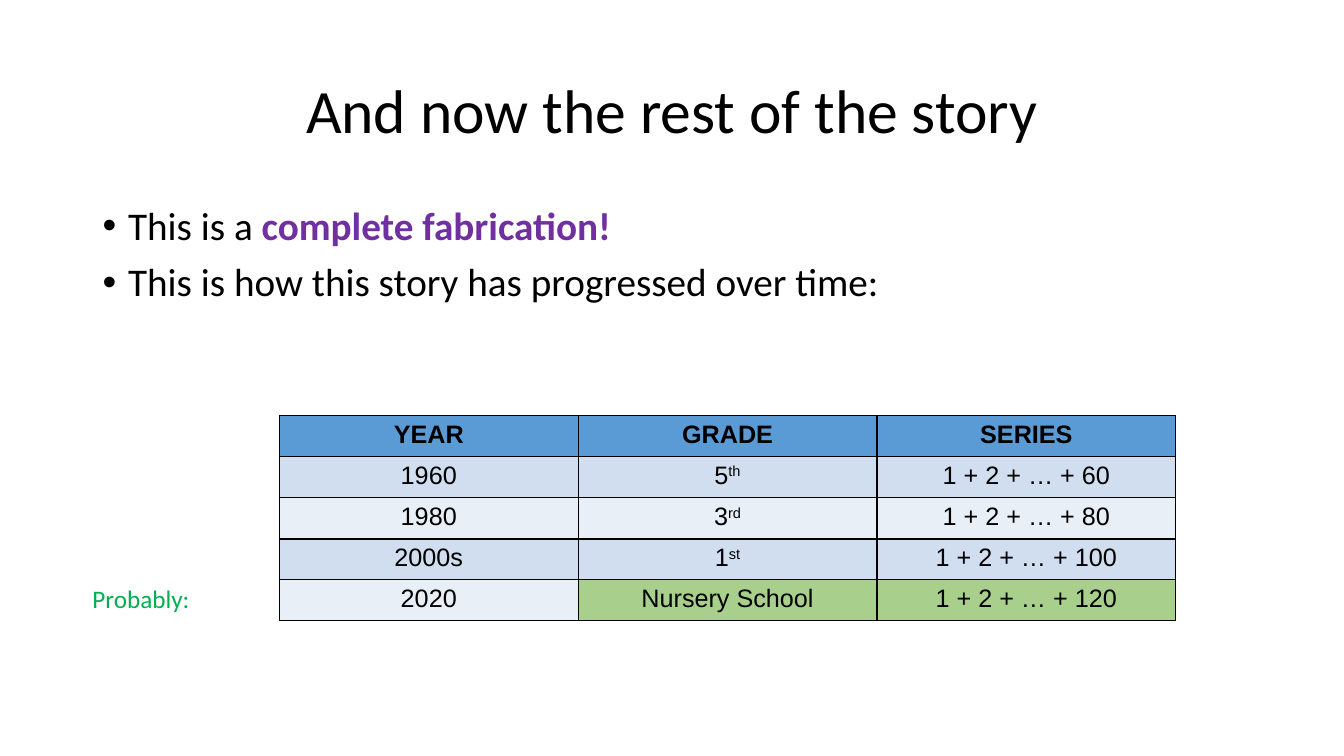
from lxml.etree import SubElement
from pptx import Presentation
from pptx.dml.color import RGBColor
from pptx.enum.text import MSO_ANCHOR, PP_ALIGN
from pptx.oxml.ns import qn
from pptx.util import Cm, Pt

BLACK = RGBColor(0x00, 0x00, 0x00)
PURPLE = RGBColor(0x70, 0x30, 0xA0)
GREEN = RGBColor(0x00, 0xB0, 0x50)
BLUE = RGBColor(0x5B, 0x9B, 0xD5)
BANDS = (RGBColor(0xD0, 0xDE, 0xEF), RGBColor(0xE9, 0xEF, 0xF7))
LIME = RGBColor(0xA8, 0xD0, 0x8C)

# Content: each bullet is a list of (text, colour, bold) runs
TITLE = "And now the rest of the story"
BULLETS = [
    [("This is a ", BLACK, False), ("complete fabrication!", PURPLE, True)],
    [("This is how this story has progressed over time:", BLACK, False)],
]
LABEL = "Probably:"
HEADS = ["YEAR", "GRADE", "SERIES"]
# Year, grade, ordinal ending, last term of the series
STAGES = [
    ("1960", "5", "th", 60),
    ("1980", "3", "rd", 80),
    ("2000s", "1", "st", 100),
    ("2020", "Nursery School", "", 120),
]

# Layout in cm
TITLE_BOX = (2.34, 1.02, 29.21, 3.68)
BODY_BOX = (2.34, 5.08, 29.21, 12.09)
LABEL_BOX = (2.08, 14.58, 4.95, 1.02)
LEFT, TOP, COL = 7.04, 10.46, 7.53
ROWS = [1.04, 1.04, 1.04, 0.95, 1.04]


def add_run(para, text, size, color=BLACK, bold=False, face="Calibri"):
    run = para.add_run()
    run.text = text
    font = run.font
    font.name, font.size, font.bold = face, Pt(size), bold
    font.color.rgb = color
    return run


def add_box(slide, box, anchor=MSO_ANCHOR.TOP):
    frame = slide.shapes.add_textbox(*map(Cm, box)).text_frame
    frame.word_wrap = True
    frame.vertical_anchor = anchor
    return frame


def add_bullet(para):
    props = para._p.get_or_add_pPr()
    props.set("marL", str(Cm(0.64)))
    props.set("indent", str(Cm(-0.64)))
    tint = SubElement(props, qn("a:buClr"))
    SubElement(tint, qn("a:srgbClr"), val=str(BLACK))
    SubElement(props, qn("a:buFont"), typeface="Arial")
    SubElement(props, qn("a:buChar"), char="•")


def add_edges(cell):
    props = cell._tc.get_or_add_tcPr()
    for side in "LRTB":
        edge = SubElement(props, qn("a:ln" + side), w=str(Pt(1)))
        fill = SubElement(edge, qn("a:solidFill"))
        SubElement(fill, qn("a:srgbClr"), val=str(BLACK))


def fill_cell(cell, text, color, raised="", bold=False):
    add_edges(cell)
    cell.fill.solid()
    cell.fill.fore_color.rgb = color
    para = cell.text_frame.paragraphs[0]
    para.alignment = PP_ALIGN.CENTER
    add_run(para, text, 18, bold=bold, face="Arial")
    if raised:
        run = add_run(para, raised, 18, face="Arial")
        run._r.get_or_add_rPr().set("baseline", "30000")


def main():
    deck = Presentation()
    deck.slide_width, deck.slide_height = Cm(33.87), Cm(19.05)
    slide = deck.slides.add_slide(deck.slide_layouts[6])

    # Title
    para = add_box(slide, TITLE_BOX, MSO_ANCHOR.MIDDLE).paragraphs[0]
    para.alignment = PP_ALIGN.CENTER
    para.line_spacing = 0.9
    add_run(para, TITLE, 44)

    # Bullets
    frame = add_box(slide, BODY_BOX)
    for i, runs in enumerate(BULLETS):
        para = frame.add_paragraph() if i else frame.paragraphs[0]
        para.line_spacing = 0.9
        para.space_before = Pt(10 if i else 0)
        add_bullet(para)
        for text, color, bold in runs:
            add_run(para, text, 28, color, bold)

    # Table
    count = len(HEADS)
    grid = slide.shapes.add_table(
        len(ROWS), count, Cm(LEFT), Cm(TOP), Cm(COL * count), Cm(sum(ROWS))
    ).table
    for col in grid.columns:
        col.width = Cm(COL)
    for row, high in zip(grid.rows, ROWS):
        row.height = Cm(high)
    for c, head in enumerate(HEADS):
        fill_cell(grid.cell(0, c), head, BLUE, bold=True)
    for r, (year, grade, ending, last) in enumerate(STAGES, 1):
        band = BANDS[(r - 1) % 2]
        tint = LIME if r == len(STAGES) else band
        fill_cell(grid.cell(r, 0), year, band)
        fill_cell(grid.cell(r, 1), grade, tint, ending)
        fill_cell(grid.cell(r, 2), f"1 + 2 + … + {last}", tint)

    # Label beside the last row
    add_run(add_box(slide, LABEL_BOX).paragraphs[0], LABEL, 18, GREEN)

    deck.save("out.pptx")


if __name__ == "__main__":
    main()
